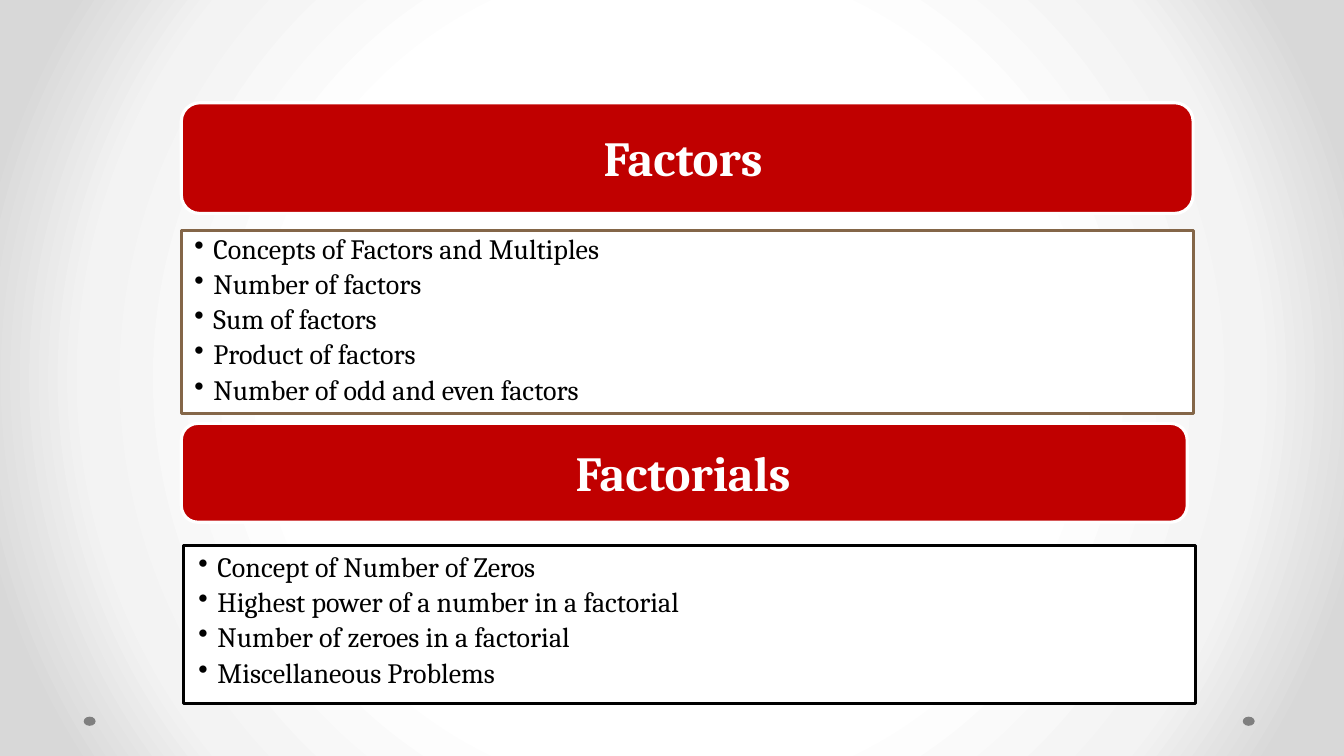
import dataclasses

import lxml.etree
import pptx
import pptx.dml.color
import pptx.enum.shapes
import pptx.enum.text
import pptx.oxml
import pptx.oxml.ns
import pptx.util

Cm = pptx.util.Cm
Pt = pptx.util.Pt
RGB = pptx.dml.color.RGBColor.from_string
PRESET = pptx.enum.shapes.MSO_SHAPE
ALIGN = pptx.enum.text.PP_ALIGN
ANCHOR = pptx.enum.text.MSO_ANCHOR


@dataclasses.dataclass(frozen=True)
class Theme:
    """Colours, type and line sizes of the slide."""

    white: str = "FFFFFF"
    black: str = "000000"
    red: str = "C00000"
    brown: str = "846648"
    dot: str = "7F7F7F"
    glow: tuple = ((0, "FFFFFF"), (50, "FFFFFF"), (76, "F3F3F3"), (92, "D8D8D8"), (100, "D8D8D8"))
    font: str = "Cambria"
    heading_size: int = 35
    topic_size: int = 20
    outline: float = 2.25
    line_spacing: float = 0.9
    topic_gap: float = 3.6


THEME = Theme()

SECTIONS = (
    {
        "heading": "Factors",
        "heading_box": (4.57, 2.59, 25.5, 2.79),
        "heading_insets": (0.36, 0.33, 0.56, 0.2),
        "topics": (
            "Concepts of Factors and Multiples",
            "Number of factors",
            "Sum of factors",
            "Product of factors",
            "Number of odd and even factors",
        ),
        "topics_box": (4.57, 5.82, 25.5, 4.6),
        "topics_insets": (0.33, 0.1, 0.36, 0.05),
        "outline": THEME.brown,
    },
    {
        "heading": "Factorials",
        "heading_box": (4.57, 10.67, 25.35, 2.49),
        "heading_insets": (0.36, 0.33, 0.41, 0.2),
        "topics": (
            "Concept of Number of Zeros",
            "Highest power of a number in a factorial",
            "Number of zeroes in a factorial",
            "Miscellaneous Problems",
        ),
        "topics_box": (4.62, 13.74, 25.5, 3.99),
        "topics_insets": (0.38, 0.2, 0.36, 0.05),
        "outline": THEME.black,
    },
)


def apply(target, values):
    """Set each named attribute on the target."""
    for name, value in values.items():
        setattr(target, name, value)


def add_panel(slide, preset, box, fill, outline=None):
    """Add a flat filled shape, outlined if a colour is given."""
    panel = slide.shapes.add_shape(preset, *map(Cm, box))
    panel.shadow.inherit = False
    panel.fill.solid()
    panel.fill.fore_color.rgb = RGB(fill)
    if outline:
        panel.line.color.rgb = RGB(outline)
        panel.line.width = Pt(THEME.outline)
    else:
        panel.line.fill.background()
    return panel


def set_frame(frame, insets, anchor):
    """Set the wrapping, anchor and insets of a text frame."""
    sides = ("margin_left", "margin_top", "margin_right", "margin_bottom")
    apply(frame, {"word_wrap": True, "vertical_anchor": anchor, **dict(zip(sides, map(Cm, insets)))})


def write(paragraph, text, size, color, bold=False):
    """Write one formatted run into a paragraph."""
    paragraph.line_spacing = THEME.line_spacing
    run = paragraph.add_run()
    run.text = text
    apply(run.font, {"name": THEME.font, "size": Pt(size), "bold": bold})
    run.font.color.rgb = RGB(color)


def add_bullet(paragraph):
    """Give a paragraph a round bullet with a hanging indent."""
    properties = paragraph._p.get_or_add_pPr()
    indent = Cm(0.48)
    properties.set("marL", str(indent))
    properties.set("indent", str(-indent))
    color = lxml.etree.SubElement(properties, pptx.oxml.ns.qn("a:buClr"))
    lxml.etree.SubElement(color, pptx.oxml.ns.qn("a:srgbClr"), val=THEME.black)
    lxml.etree.SubElement(properties, pptx.oxml.ns.qn("a:buChar"), char="•")


def add_heading(slide, box, text, insets):
    """Draw a red rounded banner with a centred heading."""
    banner = add_panel(slide, PRESET.ROUNDED_RECTANGLE, box, THEME.red, THEME.white)
    set_frame(banner.text_frame, insets, ANCHOR.MIDDLE)
    line = banner.text_frame.paragraphs[0]
    line.alignment = ALIGN.CENTER
    write(line, text, THEME.heading_size, THEME.white, bold=True)


def add_topics(slide, box, topics, insets, outline):
    """Draw an outlined white box with a bulleted list of topics."""
    frame = add_panel(slide, PRESET.RECTANGLE, box, THEME.white, outline).text_frame
    set_frame(frame, insets, ANCHOR.TOP)
    for index, topic in enumerate(topics):
        line = frame.add_paragraph() if index else frame.paragraphs[0]
        apply(line, {"alignment": ALIGN.LEFT, "level": 1})
        if index:
            line.space_before = Pt(THEME.topic_gap)
        add_bullet(line)
        write(line, topic, THEME.topic_size, THEME.black)


def add_background(slide):
    """Fill the slide with a circular white-to-grey gradient and two corner dots."""
    stops = "".join(
        f'<a:gs pos="{position * 1000}"><a:srgbClr val="{color}"/></a:gs>'
        for position, color in THEME.glow
    )
    gradient = pptx.oxml.parse_xml(
        f'<a:gradFill {pptx.oxml.ns.nsdecls("a")} rotWithShape="1"><a:gsLst>{stops}</a:gsLst>'
        '<a:path path="circle"><a:fillToRect l="50000" t="50000" r="50000" b="50000"/></a:path>'
        "</a:gradFill>"
    )
    slide.background.fill.solid()
    solid = slide._element.find(".//" + pptx.oxml.ns.qn("p:bgPr")).find(pptx.oxml.ns.qn("a:solidFill"))
    solid.getparent().replace(solid, gradient)
    for left in (31.32, 2.11):
        add_panel(slide, PRESET.OVAL, (left, 18.06, 0.3, 0.23), THEME.dot)


def main():
    """Build and save the slide."""
    deck = pptx.Presentation()
    apply(deck, {"slide_width": Cm(33.87), "slide_height": Cm(19.05)})
    slide = deck.slides.add_slide(deck.slide_layouts.get_by_name("Blank"))
    add_background(slide)
    for section in SECTIONS:
        add_heading(slide, section["heading_box"], section["heading"], section["heading_insets"])
        add_topics(slide, section["topics_box"], section["topics"], section["topics_insets"], section["outline"])
    deck.save("out.pptx")


if __name__ == "__main__":
    main()
